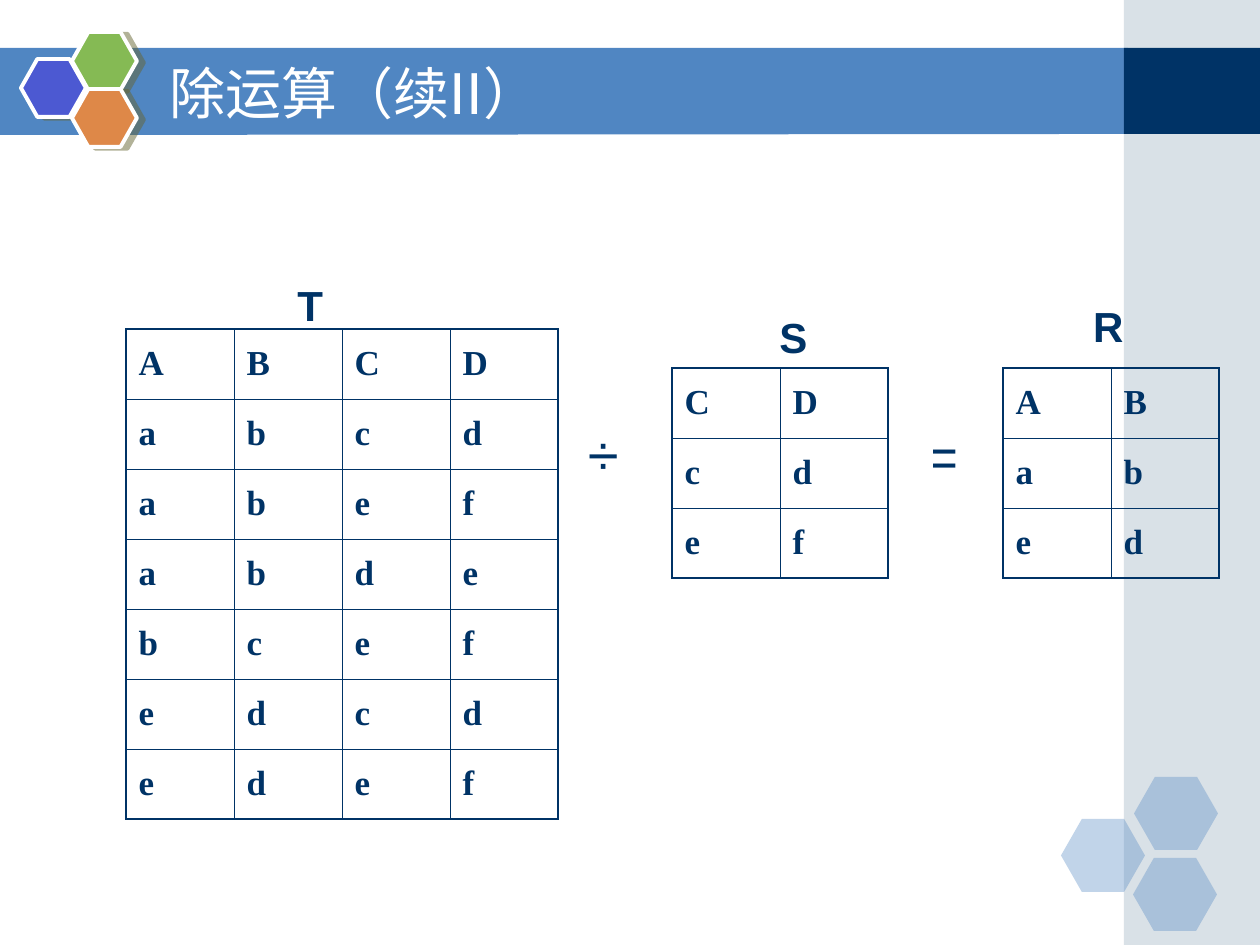
import pptx
import pptx.util
import pptx.dml.color
import pptx.enum.shapes
import pptx.enum.text
import pptx.oxml
from pptx.oxml.ns import qn
from lxml import etree

EMU_PER_PX = 914400 / 126
NAVY, BLUE, WHITE = "003366", "5086C2", "FFFFFF"
SHAPE = pptx.enum.shapes.MSO_SHAPE
ALIGN = pptx.enum.text.PP_ALIGN
ANCHOR = pptx.enum.text.MSO_ANCHOR
COLUMN, ROW = 108, 70


def px(length):
    return pptx.util.Emu(round(length * EMU_PER_PX))


def color(hex_string):
    return pptx.dml.color.RGBColor.from_string(hex_string)


def write(frame, text, font="Arial", size=24, fill=NAVY, bold=False, align=ALIGN.LEFT):
    """Put one formatted run into a text frame."""
    para = frame.paragraphs[0]
    para.alignment = align
    span = para.add_run()
    span.text = text
    span.font.name = font
    span.font.size = pptx.util.Pt(size)
    span.font.bold = bold
    span.font.color.rgb = color(fill)
    return span


def style(shape, fill, opacity=100):
    shape.shadow.inherit = False
    shape.fill.solid()
    shape.fill.fore_color.rgb = color(fill)
    shape.line.fill.background()
    if opacity < 100:
        tint = shape.element.spPr.find(qn("a:solidFill")).find(qn("a:srgbClr"))
        etree.SubElement(tint, qn("a:alpha"), val=str(opacity * 1000))


def add_preset(page, kind, left, top, width, height, fill, opacity=100):
    shape = page.shapes.add_shape(kind, px(left), px(top), px(width), px(height))
    style(shape, fill, opacity)
    return shape


def add_band(page):
    builder = page.shapes.build_freeform(-1, 48, scale=EMU_PER_PX)
    builder.add_line_segments([(1128, 48), (1128, 134), (-1, 135)])
    style(builder.convert_to_shape(), BLUE)


def add_emblem_hexagon(page, left, top, fill):
    """Add a white-edged hexagon with a hard shadow to its right."""
    hexagon = add_preset(page, SHAPE.HEXAGON, left, top, 65, 58, fill)
    hexagon.adjustments[0] = 0.283
    hexagon.line.color.rgb = color(WHITE)
    hexagon.line.width = pptx.util.Pt(2.25)
    effects = hexagon.element.spPr.find(qn("a:effectLst"))
    shadow = etree.SubElement(effects, qn("a:outerShdw"), blurRad="0",
                              dist=str(pptx.util.Pt(4.1)), dir=str(14 * 60000),
                              algn="ctr", rotWithShape="0")
    tint = etree.SubElement(shadow, qn("a:srgbClr"), val="666633")
    etree.SubElement(tint, qn("a:alpha"), val="50000")


def add_title(page, text):
    title = page.shapes.title
    title.left, title.top, title.width, title.height = px(157), px(53), px(924), px(78)
    frame = title.text_frame
    frame.auto_size = pptx.enum.text.MSO_AUTO_SIZE.NONE
    frame.vertical_anchor = ANCHOR.MIDDLE
    span = write(frame, text, font="DejaVu Sans", size=32, fill=WHITE)
    etree.SubElement(span.font._element, qn("a:ea"), typeface="DejaVu Sans")
    title.element.getparent().append(title.element)  # in front of the band


def add_text(page, text, left, top, width, height, indent=13, wrap=True, **look):
    box = page.shapes.add_textbox(px(left), px(top), px(width), px(height))
    box.text_frame.word_wrap = wrap
    box.text_frame.margin_left = px(indent)
    write(box.text_frame, text, **look)


def set_borders(cell, outer_sides):
    properties = cell._tc.get_or_add_tcPr()
    for side in "LRTB":
        width = pptx.util.Pt(1.08 if side in outer_sides else 0.45)
        line = etree.SubElement(properties, qn(f"a:ln{side}"), w=str(width))
        fill = etree.SubElement(line, qn("a:solidFill"))
        etree.SubElement(fill, qn("a:srgbClr"), val=NAVY)


def add_relation(page, left, top, rows):
    """Add a table with one letter of each row string in each cell."""
    row_count, column_count = len(rows), len(rows[0])
    table = page.shapes.add_table(row_count, column_count, px(left), px(top),
                                  px(COLUMN * column_count), px(ROW * row_count)).table
    table.first_row = table.horz_banding = False
    for column in table.columns:
        column.width = px(COLUMN)
    for r, values in enumerate(rows):
        table.rows[r].height = px(ROW)
        for c, value in enumerate(values):
            cell = table.cell(r, c)
            edges = {"L": c == 0, "R": c == column_count - 1,
                     "T": r == 0, "B": r == row_count - 1}
            set_borders(cell, [side for side, outer in edges.items() if outer])
            cell.fill.background()
            cell.vertical_anchor = ANCHOR.MIDDLE
            write(cell.text_frame, value, font="Times New Roman", size=20, bold=True)


def main():
    deck = pptx.Presentation()
    deck.slide_width, deck.slide_height = px(1260), px(945)
    page = deck.slides.add_slide(deck.slide_layouts[5])

    add_band(page)
    add_preset(page, SHAPE.RECTANGLE, 1124, 0, 136, 945, "A0B5C4", opacity=40)
    add_preset(page, SHAPE.RECTANGLE, 1124, 48, 136, 86, NAVY)
    for left, top in [(1061, 819), (1134, 777), (1133, 858)]:
        hexagon = add_preset(page, SHAPE.HEXAGON, left, top, 84, 73, BLUE, opacity=35)
        hexagon.adjustments[0] = 0.286
    for left, top, fill in [(21, 59, "4C59D2"), (72, 32, "85BA54"), (72, 89, "DE8848")]:
        add_emblem_hexagon(page, left, top, fill)
    add_title(page, "除运算（续II）")

    add_relation(page, 126, 329, ["ABCD", "abcd", "abef", "abde", "bcef", "edcd", "edef"])
    add_relation(page, 672, 368, ["CD", "cd", "ef"])
    add_relation(page, 1003, 368, ["AB", "ab", "ed"])

    add_text(page, "÷", 563, 413, 94, 81, indent=25, wrap=False, size=32)
    add_text(page, "=", 906, 415, 77, 81, indent=25, wrap=False, size=32,
             font="Arial Narrow")
    for name, left, top in [("T", 189, 273), ("S", 672, 305), ("R", 987, 294)]:
        add_text(page, name, left, top, 242, 63, bold=True, align=ALIGN.CENTER)

    deck.save("out.pptx")


if __name__ == "__main__":
    main()
